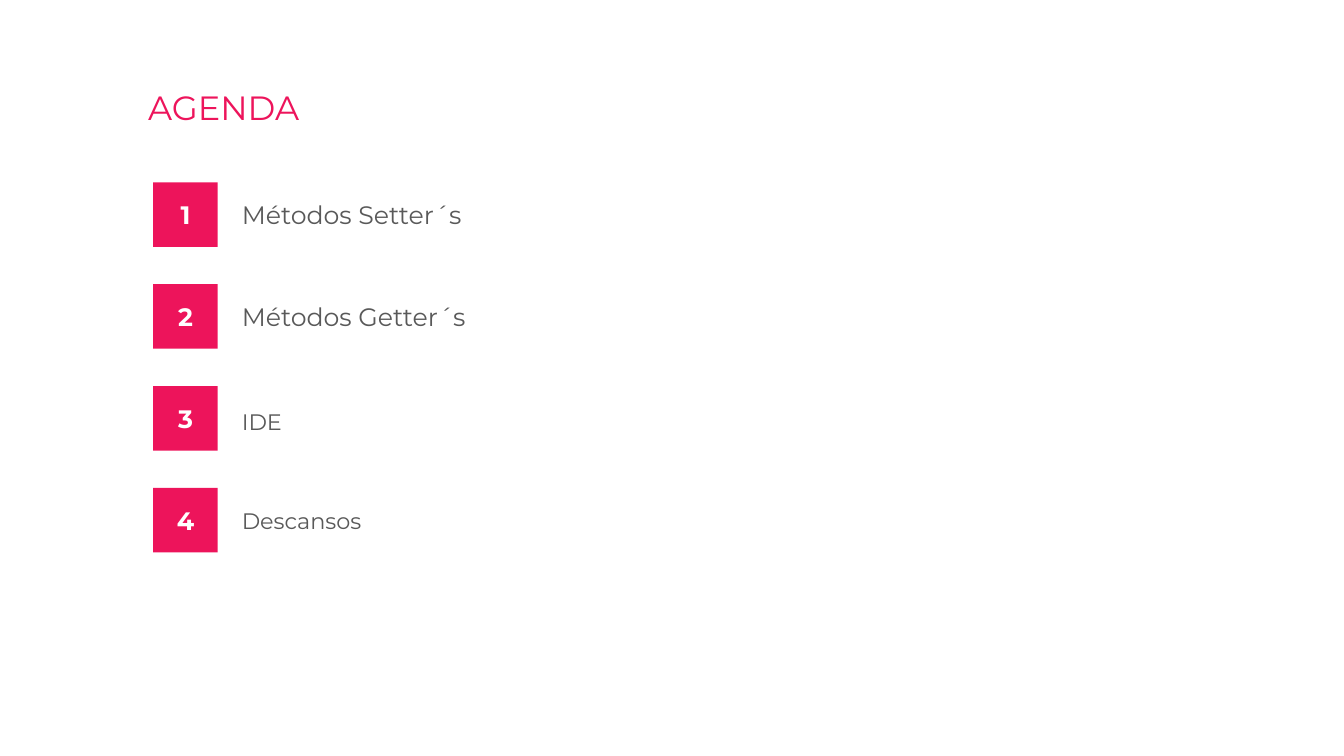
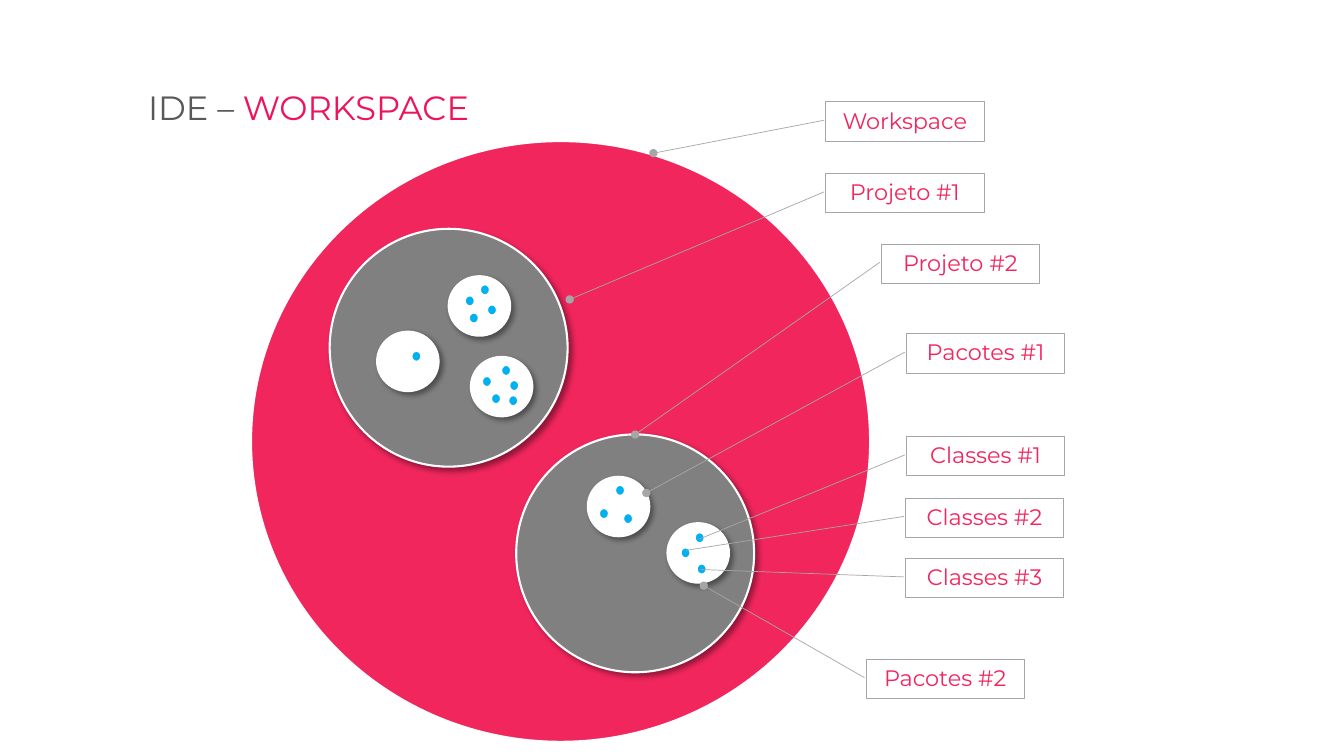
import lxml.etree
import pptx
import pptx.dml.color
import pptx.enum.shapes
import pptx.enum.text
import pptx.oxml.ns
import pptx.util

Inches = pptx.util.Inches
Pt = pptx.util.Pt
SHAPE = pptx.enum.shapes.MSO_SHAPE
ANCHOR = pptx.enum.text.MSO_ANCHOR
ALIGN = pptx.enum.text.PP_ALIGN
FIT = pptx.enum.text.MSO_AUTO_SIZE

COLORS = {
    "accent": "ED145B",
    "workspace": "F0265D",
    "project": "808080",
    "class": "00B0F0",
    "text": "595959",
    "callout": "A6A6A6",
    "white": "FFFFFF",
    "shadow": "000000",
}
FONT = "Montserrat"
TITLE_SIZE, HEADING_SIZE, LABEL_SIZE = 24, 18, 16
CALLOUT_WIDTH, CALLOUT_HEIGHT = 1.57, 0.39
POINTER_START = (0.47, -0.01)


def rgb(color):
    return pptx.dml.color.RGBColor.from_string(COLORS[color])


def set_formats(target, formats):
    for name, value in formats.items():
        setattr(target, name, value)


def add_xml(parent, tag, **attributes):
    return lxml.etree.SubElement(parent, pptx.oxml.ns.qn(tag), attributes)


class Deck:
    def __init__(self):
        self.presentation = pptx.Presentation()
        set_formats(self.presentation, {"slide_width": Inches(13.33), "slide_height": Inches(7.5)})
        self.slide = None

    def new_slide(self, *title_parts):
        """Start a slide whose title is made of (text, color) parts."""
        self.slide = self.presentation.slides.add_slide(self.presentation.slide_layouts[6])
        self.text((1.37, 0.81, 8.41, 0.5), title_parts, TITLE_SIZE, {"vertical_anchor": ANCHOR.TOP})

    def fill_text(self, shape, parts, size, frame_format, paragraph_format, bold=False):
        frame = shape.text_frame
        set_formats(frame, frame_format)
        paragraph = frame.paragraphs[0]
        set_formats(paragraph, paragraph_format)
        for words, color in parts:
            run = paragraph.add_run()
            run.text = words
            set_formats(run.font, {"name": FONT, "size": Pt(size), "bold": bold})
            run.font.color.rgb = rgb(color)

    def text(self, box, parts, size, frame_format=None, paragraph_format=None):
        textbox = self.slide.shapes.add_textbox(*map(Inches, box))
        frame = {"word_wrap": True, "auto_size": FIT.SHAPE_TO_FIT_TEXT, "vertical_anchor": ANCHOR.MIDDLE}
        self.fill_text(textbox, parts, size, {**frame, **(frame_format or {})}, paragraph_format or {})

    def shape(self, kind, box, fill, line=None, width=1.5):
        shape = self.slide.shapes.add_shape(kind, *map(Inches, box))
        shape.shadow.inherit = False
        shape.fill.solid()
        shape.fill.fore_color.rgb = rgb(fill)
        if line:
            shape.line.color.rgb = rgb(line)
            shape.line.width = Pt(width)
        else:
            shape.line.fill.background()
        return shape

    def number(self, box, value):
        square = self.shape(SHAPE.RECTANGLE, box, "accent")
        self.fill_text(square, [(str(value), "white")], HEADING_SIZE,
                       {"vertical_anchor": ANCHOR.MIDDLE}, {"alignment": ALIGN.CENTER}, bold=True)

    def circle(self, box, fill, shadow=False):
        circle = self.shape(SHAPE.OVAL, box, fill, "white")
        if shadow:
            effects = circle.element.spPr.find(pptx.oxml.ns.qn("a:effectLst"))
            outer = add_xml(effects, "a:outerShdw", blurRad=str(Pt(4)), dist=str(Pt(3)),
                            dir="2700000", algn="tl", rotWithShape="0")
            color = add_xml(outer, "a:srgbClr", val=COLORS["shadow"])
            add_xml(color, "a:alpha", val="40000")

    def callout(self, label, left, top, target, dotted):
        """Draw a label with a pointer that ends at target, given in slide inches."""
        box = (left, top, CALLOUT_WIDTH, CALLOUT_HEIGHT)
        callout = self.shape(SHAPE.LINE_CALLOUT_1, box, "white", "callout", 0.5)
        target_x, target_y = target
        pointer_end = ((target_y - top) / CALLOUT_HEIGHT, (target_x - left) / CALLOUT_WIDTH)
        for index, value in enumerate(POINTER_START + pointer_end):
            callout.adjustments[index] = value
        if dotted:
            outline = callout.element.spPr.find(pptx.oxml.ns.qn("a:ln"))
            add_xml(outline, "a:tailEnd", type="oval")
        self.fill_text(callout, [(label, "workspace")], LABEL_SIZE,
                       {"word_wrap": False, "vertical_anchor": ANCHOR.TOP, "margin_bottom": 0},
                       {"alignment": ALIGN.CENTER})


# topic, text top, text height, size, frame format, paragraph format
AGENDA = [
    ("Métodos Setter´s", 1.83, 0.45, HEADING_SIZE, {"auto_size": FIT.NONE},
     {"line_spacing": 1.5, "space_before": Pt(7.5)}),
    ("Métodos Getter´s", 2.94, 0.4, HEADING_SIZE, {}, {}),
    ("IDE", 4, 0.37, LABEL_SIZE, {}, {}),
    ("Descansos", 4.98, 0.37, LABEL_SIZE, {}, {}),
]

PROJECTS = [(3.27, 2.27), (5.12, 4.31)]

# package corner, corners of its classes
PACKAGES = [
    ((4.45, 2.74), [(4.76, 2.82), (4.83, 3.02), (4.61, 2.93), (4.65, 3.1)]),
    ((3.74, 3.29), [(4.08, 3.48)]),
    ((4.67, 3.54), [(4.97, 3.62), (5.05, 3.77), (4.78, 3.73), (4.87, 3.9), (5.04, 3.92)]),
    ((5.83, 4.73), [(6.1, 4.81), (5.94, 5.04), (6.18, 5.09)]),
    ((6.62, 5.19), [(6.89, 5.28), (6.91, 5.59), (6.75, 5.43)]),
]

# label, left, top, pointer target, whether the pointer ends in a dot
CALLOUTS = [
    ("Workspace", 8.19, 1.01, (6.48, 1.52), True),
    ("Projeto #1", 8.19, 1.72, (5.65, 2.97), True),
    ("Pacotes #2", 8.59, 6.54, (6.98, 5.81), True),
    ("Classes #2", 8.98, 4.94, (6.8, 5.46), False),
    ("Classes #3", 8.98, 5.54, (6.95, 5.65), False),
    ("Pacotes #1", 8.99, 3.31, (6.41, 4.89), True),
    ("Projeto #2", 8.74, 2.42, (6.3, 4.31), True),
    ("Classes #1", 8.99, 4.33, (6.93, 5.35), False),
]


def build_agenda(deck):
    deck.new_slide(("AGENDA", "accent"))
    for index, (topic, top, height, size, frame, paragraph) in enumerate(AGENDA):
        deck.text((2.3, top, 8, height), [(topic, "text")], size, frame, paragraph)
        deck.number((1.52, 1.81 + 1.01 * index, 0.64, 0.64), index + 1)


def build_workspace(deck):
    deck.new_slide(("IDE – ", "text"), ("WORKSPACE", "accent"))
    deck.circle((2.49, 1.4, 6.14, 5.96), "workspace")
    for corner in PROJECTS:
        deck.circle((*corner, 2.36, 2.36), "project", shadow=True)
    for corner, classes in PACKAGES:
        deck.circle((*corner, 0.61, 0.59), "white", shadow=True)
        for class_corner in classes:
            deck.circle((*class_corner, 0.1, 0.11), "class")
    for callout in CALLOUTS:
        deck.callout(*callout)


def main():
    deck = Deck()
    build_agenda(deck)
    build_workspace(deck)
    deck.presentation.save("out.pptx")


if __name__ == "__main__":
    main()
